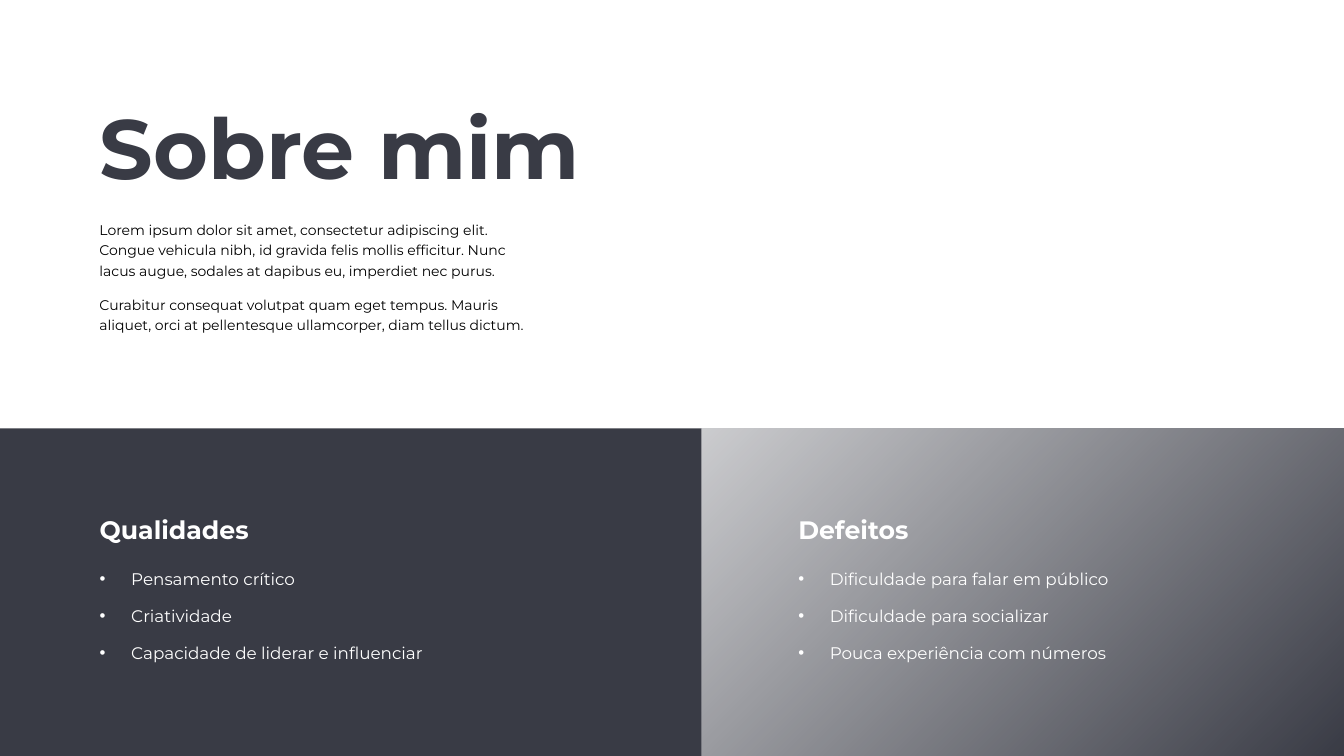
from lxml import etree
from pptx import Presentation
from pptx.dml.color import RGBColor
from pptx.enum.shapes import MSO_SHAPE
from pptx.enum.text import MSO_ANCHOR, MSO_AUTO_SIZE, PP_ALIGN
from pptx.oxml.ns import qn
from pptx.util import Pt

RECTANGLE = MSO_SHAPE.RECTANGLE
TOP, BOTTOM = MSO_ANCHOR.TOP, MSO_ANCHOR.BOTTOM
NO_AUTOFIT = MSO_AUTO_SIZE.NONE
LEFT = PP_ALIGN.LEFT

# Content
TITLE = "Sobre mim"
INTRO = [
    "Lorem ipsum dolor sit amet, consectetur adipiscing elit. Congue vehicula nibh, "
    "id gravida felis mollis efficitur. Nunc lacus augue, sodales at dapibus eu, "
    "imperdiet nec purus.",
    "Curabitur consequat volutpat quam eget tempus. Mauris aliquet, orci at "
    "pellentesque ullamcorper, diam tellus dictum.",
]
COLUMNS = [
    ("Qualidades", ["Pensamento crítico", "Criatividade",
                    "Capacidade de liderar e influenciar"]),
    ("Defeitos", ["Dificuldade para falar em público", "Dificuldade para socializar",
                  "Pouca experiência com números"]),
]

# Layout in points
SLIDE_WIDTH, SLIDE_HEIGHT = 960, 540
PANEL_TOP, PANEL_SPLIT = 306, 501
TEXT_LEFTS = [64, 563]
BULLET_INDENT = 22.5

# Formats
FONT = "Montserrat"
DARK, BLACK, WHITE = "393B45", "000000", "FFFFFF"
TITLE_FORMAT = {"size": 60, "bold": True, "color": DARK, "line": 0.8, "before": 0}
INTRO_FORMAT = {"size": 10, "bold": False, "color": BLACK, "line": 1.2, "before": 10}
HEADING_FORMAT = {"size": 18, "bold": True, "color": WHITE, "line": 0.9, "before": 0}
LIST_FORMAT = {"size": 12, "bold": False, "color": WHITE, "line": 1.0, "before": 12}


def rgb(value):
    return RGBColor.from_string(value)


def place(shape, left, top, width, height):
    box = {"left": left, "top": top, "width": width, "height": height}
    for name, value in box.items():
        setattr(shape, name, Pt(value))


def add_bullet(paragraph):
    properties = paragraph._p.get_or_add_pPr()
    properties.set("marL", str(Pt(BULLET_INDENT)))
    properties.set("indent", str(-Pt(BULLET_INDENT)))
    etree.SubElement(properties, qn("a:buFont")).set("typeface", "Arial")
    etree.SubElement(properties, qn("a:buChar")).set("char", "•")


def write(shape, lines, style, anchor=TOP, bullets=False):
    frame = shape.text_frame
    frame_format = {"word_wrap": True, "auto_size": NO_AUTOFIT, "vertical_anchor": anchor}
    for name, value in frame_format.items():
        setattr(frame, name, value)
    for index, line in enumerate(lines):
        paragraph = frame.paragraphs[0] if index == 0 else frame.add_paragraph()
        paragraph.text = line
        if bullets:
            add_bullet(paragraph)
        paragraph_format = {
            "alignment": LEFT,
            "line_spacing": style["line"],
            "space_before": Pt(style["before"] if index else 0),
            "space_after": Pt(0),
        }
        for name, value in paragraph_format.items():
            setattr(paragraph, name, value)
        font = paragraph.runs[0].font
        font_format = {"name": FONT, "size": Pt(style["size"]), "bold": style["bold"]}
        for name, value in font_format.items():
            setattr(font, name, value)
        font.color.rgb = rgb(style["color"])


def add_panel(slide, left, right, position):
    panel = slide.shapes.add_shape(RECTANGLE, 0, 0, 0, 0)
    place(panel, left, PANEL_TOP, right - left, SLIDE_HEIGHT - PANEL_TOP)
    panel.shadow.inherit = False
    panel.line.fill.background()
    # Panels go behind the placeholders
    panel.element.getparent().insert(position, panel.element)
    return panel


def main():
    presentation = Presentation()
    presentation.slide_width = Pt(SLIDE_WIDTH)
    presentation.slide_height = Pt(SLIDE_HEIGHT)
    slide = presentation.slides.add_slide(
        presentation.slide_layouts.get_by_name("Comparison"))

    # Lower panels: one solid, one fading in from the top left
    solid = add_panel(slide, 0, PANEL_SPLIT, 2)
    solid.fill.solid()
    solid.fill.fore_color.rgb = rgb(DARK)
    faded = add_panel(slide, PANEL_SPLIT, SLIDE_WIDTH, 3)
    faded.fill.gradient()
    faded.fill.gradient_angle = 315
    for stop, position in zip(faded.fill.gradient_stops, (0, 1)):
        stop.color.rgb = rgb(DARK)
        stop.position = position
    first_color = next(faded.element.iter(qn("a:gs")))[0]
    etree.SubElement(first_color, qn("a:alpha")).set("val", "26000")

    # Title and introduction
    title = slide.shapes.title
    place(title, TEXT_LEFTS[0], 76.5, 399, 67)
    write(title, [TITLE], TITLE_FORMAT, anchor=BOTTOM)
    intro = slide.shapes.add_textbox(0, 0, 0, 0)
    place(intro, TEXT_LEFTS[0], 152.5, 324, 93.5)
    write(intro, INTRO, INTRO_FORMAT)

    # Heading and list of each column
    bodies = list(slide.placeholders)[1:]
    pairs = zip(bodies[::2], bodies[1::2])
    for (heading, points), left, (heading_box, list_box) in zip(COLUMNS, TEXT_LEFTS, pairs):
        place(heading_box, left, 366.5, 301, 29)
        write(heading_box, [heading], HEADING_FORMAT)
        place(list_box, left, 402.5, 378, 95)
        write(list_box, points, LIST_FORMAT, bullets=True)

    presentation.save("out.pptx")


if __name__ == "__main__":
    main()
